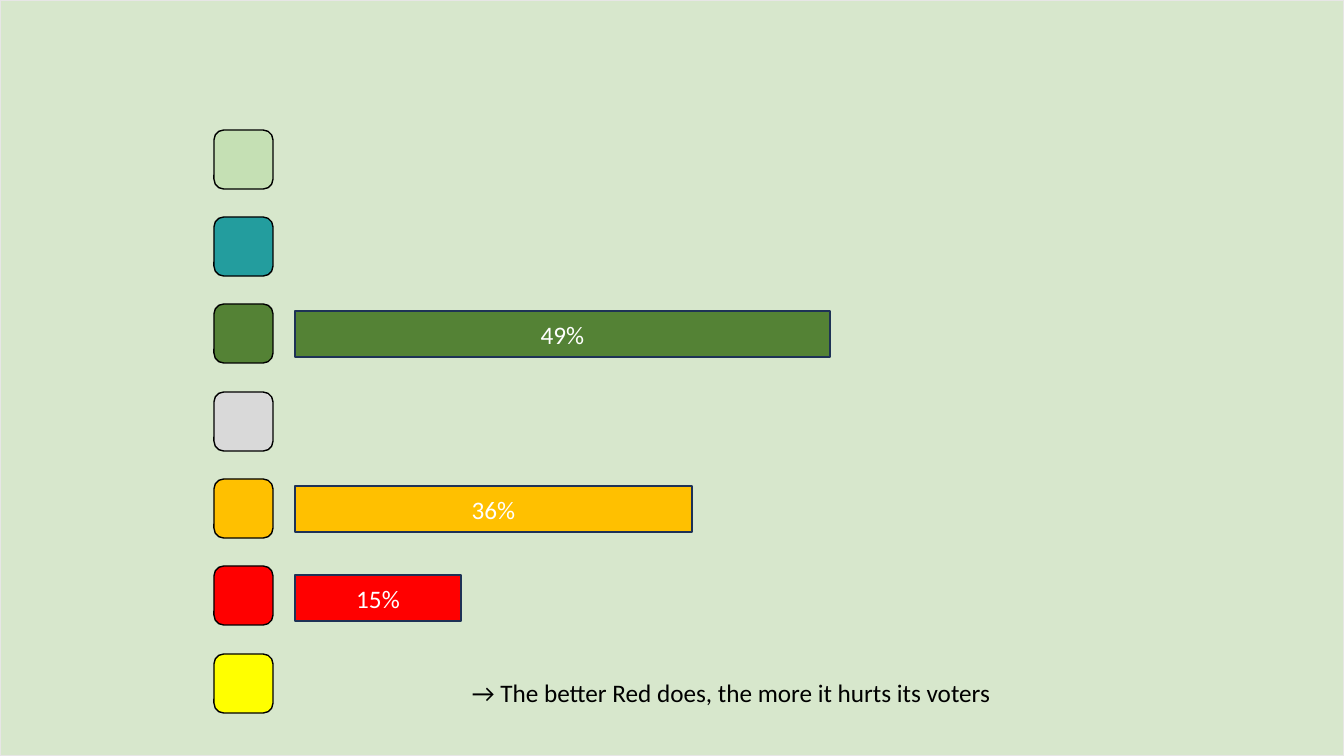
from lxml.etree import SubElement
from pptx import Presentation
from pptx.dml.color import RGBColor
from pptx.enum.shapes import MSO_SHAPE
from pptx.enum.text import MSO_ANCHOR, MSO_AUTO_SIZE, PP_ALIGN
from pptx.oxml.ns import qn
from pptx.util import Emu, Pt

COLORS = {
    "background": "F2F2F2",
    "frame": "E7E6E6",
    "light green": "C5E0B4",
    "teal": "239D9E",
    "green": "548235",
    "gray": "D9D9D9",
    "orange": "FFC000",
    "red": "FF0000",
    "yellow": "FFFF00",
    "bar outline": "1E3256",
    "black": "000000",
    "white": "FFFFFF",
}
PARTIES = ["light green", "teal", "green", "gray", "orange", "red", "yellow"]
BARS = [("orange", "36%", 486, 397), ("green", "49%", 311, 535), ("red", "15%", 575, 166)]


def px(length):
    return Emu(round(length * 12192000 / 1344))


def add_box(kind, left, top, width, height, fill, outline):
    shape = slide.shapes.add_shape(kind, px(left), px(top), px(width), px(height))
    shape.shadow.inherit = False
    shape.fill.solid()
    shape.fill.fore_color.rgb = RGBColor.from_string(COLORS[fill])
    shape.line.color.rgb = RGBColor.from_string(COLORS[outline])
    shape.line.width = Pt(1)
    return shape


presentation = Presentation()
presentation.slide_width = px(1344)
presentation.slide_height = px(756)
slide = presentation.slides.add_slide(presentation.slide_layouts[6])
slide.background.fill.solid()
slide.background.fill.fore_color.rgb = RGBColor.from_string(COLORS["background"])

backdrop = add_box(MSO_SHAPE.RECTANGLE, 0, 0, 1344, 756, "light green", "frame")
backdrop_color = backdrop.fill._xPr.find(qn("a:solidFill"))[0]
SubElement(backdrop_color, qn("a:alpha"), val="60000")

for row, party in enumerate(PARTIES):
    add_box(MSO_SHAPE.ROUNDED_RECTANGLE, 214, 130 + 524 * row // 6, 59, 59, party, "black")

for party, share, top, width in BARS:
    bar = add_box(MSO_SHAPE.RECTANGLE, 295, top, width, 46, party, "bar outline")
    bar.text_frame.text = share
    bar.text_frame.vertical_anchor = MSO_ANCHOR.MIDDLE
    paragraph = bar.text_frame.paragraphs[0]
    paragraph.alignment = PP_ALIGN.CENTER
    paragraph.font.name = "Calibri"
    paragraph.font.size = Pt(18)
    paragraph.font.color.rgb = RGBColor.from_string(COLORS["white"])

conclusion = slide.shapes.add_textbox(px(462), px(672), px(547), px(40))
conclusion.text_frame.word_wrap = False
conclusion.text_frame.auto_size = MSO_AUTO_SIZE.SHAPE_TO_FIT_TEXT
conclusion.text_frame.text = "→ The better Red does, the more it hurts its voters"
paragraph = conclusion.text_frame.paragraphs[0]
paragraph.font.name = "Calibri"
paragraph.font.size = Pt(18)
paragraph.font.color.rgb = RGBColor.from_string(COLORS["black"])

presentation.save("out.pptx")
